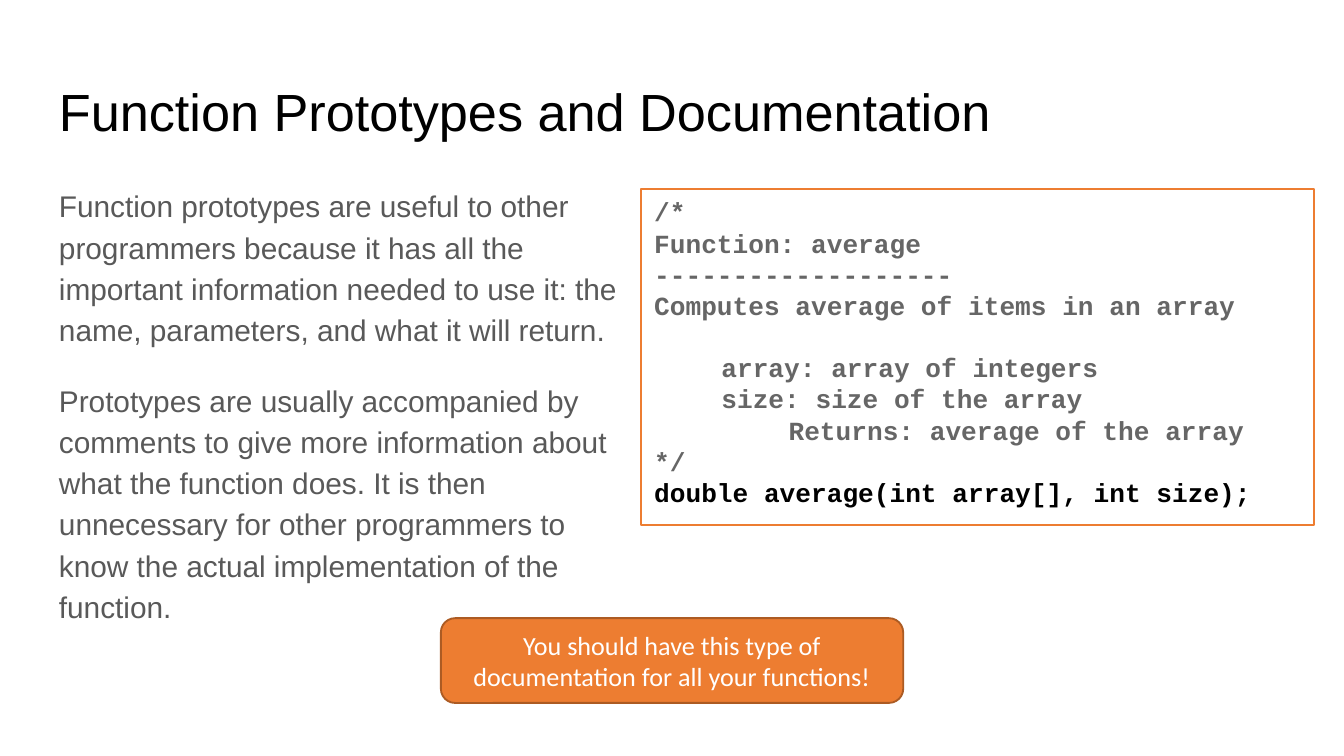
from dataclasses import dataclass

import pptx
import pptx.dml.color
import pptx.enum.shapes
import pptx.enum.text
import pptx.util

Pt = pptx.util.Pt
Shape = pptx.enum.shapes.MSO_SHAPE
Align = pptx.enum.text.PP_ALIGN
Anchor = pptx.enum.text.MSO_ANCHOR

ORANGE = "ED7D31"
GREY = "666666"
PITCH = 16.7  # line height of the code


@dataclass
class Style:
    font: str
    size: float
    color: str
    bold: bool = False


@dataclass
class Para:
    text: str
    style: Style
    align: Align = Align.LEFT
    lead: float | None = None  # a float is a multiple, a Pt is exact
    before: float = 0
    indent: float = 0


def rgb(code: str) -> pptx.dml.color.RGBColor:
    return pptx.dml.color.RGBColor.from_string(code)


def write(shape, paras: list[Para], pad: float, anchor=Anchor.TOP) -> None:
    """Fill the shape with paragraphs; pad is the top and bottom inset."""
    frame = shape.text_frame
    frame.word_wrap = True
    frame.vertical_anchor = anchor
    frame.margin_left = frame.margin_right = Pt(7.2)
    frame.margin_top = frame.margin_bottom = Pt(pad)
    for i, item in enumerate(paras):
        para = frame.add_paragraph() if i else frame.paragraphs[0]
        para.alignment = item.align
        para.space_before = Pt(item.before)
        if item.lead:
            para.line_spacing = item.lead
        if item.indent:
            props = para._p.get_or_add_pPr()
            props.set("marL", str(Pt(item.indent)))
            props.set("indent", "0")
        run = para.add_run()
        run.text = item.text
        run.font.name = item.style.font
        run.font.size = Pt(item.style.size)
        run.font.bold = item.style.bold
        run.font.color.rgb = rgb(item.style.color)


def add_text(slide, box: tuple, paras: list[Para]) -> None:
    write(slide.shapes.add_textbox(*map(Pt, box)), paras, 7.2)


def add_box(slide, kind, box: tuple, fill: str, line: str,
            paras: list[Para], anchor=Anchor.TOP) -> None:
    shape = slide.shapes.add_shape(kind, *map(Pt, box))
    shape.shadow.inherit = False
    shape.fill.solid()
    shape.fill.fore_color.rgb = rgb(fill)
    shape.line.color.rgb = rgb(line)
    shape.line.width = Pt(1)
    write(shape, paras, 3.6, anchor)


def main() -> None:
    deck = pptx.Presentation()
    deck.slide_width, deck.slide_height = Pt(720), Pt(405)
    slide = deck.slides.add_slide(deck.slide_layouts[6])

    title = Style("Arial", 28, "000000")
    body = Style("Arial", 16, "595959")
    note = Style("Courier New", 14, GREY, True)
    code = Style("Courier New", 14, "000000", True)
    tip = Style("Calibri", 14, "FFFFFF")

    add_text(slide, (24.5, 35.3, 671, 45.4),
             [Para("Function Prototypes and Documentation", title)])
    add_text(slide, (24.5, 90.7, 318.2, 269.3), [
        Para("Function prototypes are useful to other programmers because it "
             "has all the important information needed to use it: the name, "
             "parameters, and what it will return.", body, lead=1.15),
        Para("Prototypes are usually accompanied by comments to give more "
             "information about what the function does. It is then "
             "unnecessary for other programmers to know the actual "
             "implementation of the function.", body, lead=1.15, before=16),
    ])

    lines = [
        ("/*", note, 0, 0),
        ("Function: average", note, 0, 0),
        ("-------------------", note, 0, 0),
        ("Computes average of items in an array", note, 0, 0),
        ("array: array of integers", note, 36, PITCH),
        ("size: size of the array", note, 36, 0),
        ("Returns: average of the array", note, 72, 0),
        ("*/", note, 0, 0),
        ("double average(int array[], int size);", code, 0, 0),
    ]
    add_box(slide, Shape.RECTANGLE, (343.4, 101.5, 360.7, 180),
            "FFFFFF", ORANGE,
            [Para(text, style, lead=Pt(PITCH), before=gap, indent=indent)
             for text, style, indent, gap in lines])
    add_box(slide, Shape.ROUNDED_RECTANGLE, (236.2, 331.2, 247.7, 45.4),
            ORANGE, "AC5B23",
            [Para("You should have this type of documentation for all your "
                  "functions!", tip, Align.CENTER)], Anchor.MIDDLE)
    deck.save("out.pptx")


if __name__ == "__main__":
    main()
